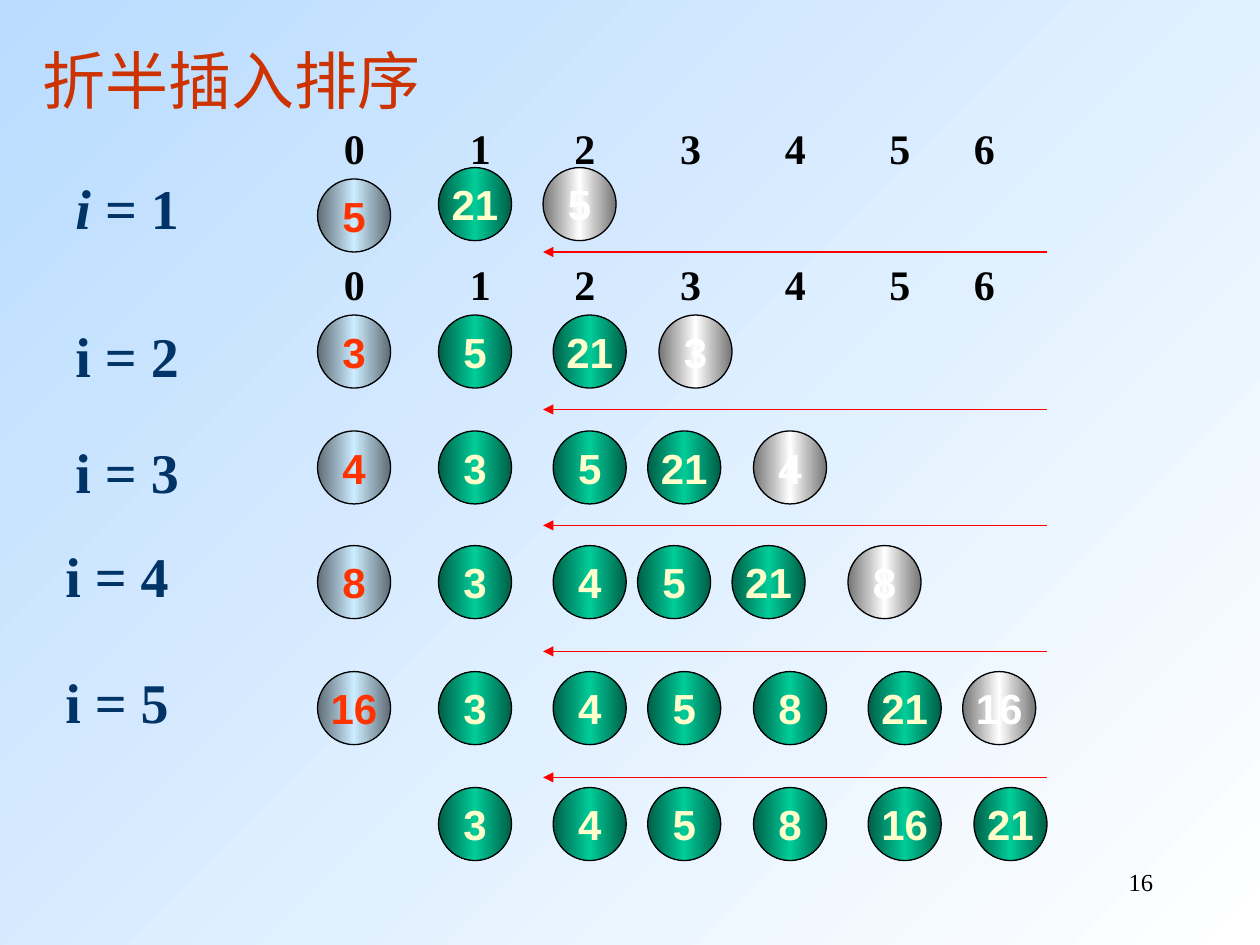
"""Build a slide that traces a binary insertion sort pass by pass."""
from copy import deepcopy
from dataclasses import dataclass
from typing import Any

from lxml.etree import SubElement
from pptx import Presentation
from pptx.dml.color import RGBColor as RGB
from pptx.enum.shapes import MSO_CONNECTOR as LINK, MSO_SHAPE as SHAPE
from pptx.enum.text import MSO_ANCHOR as ANCHOR, PP_ALIGN as ALIGN
from pptx.oxml.ns import qn
from pptx.util import Inches, Pt


@dataclass(frozen=True)
class Type:
    size: int
    ink: str
    face: str = "Times New Roman"
    bold: bool = True


@dataclass(frozen=True)
class Ball:
    edge: str
    core: str
    type: Type


@dataclass(frozen=True)
class Theme:
    back: tuple[str, str] = ("FFFFFF", "B9DCFF")
    line: str = "000000"
    arrow: str = "FF0000"
    title: Type = Type(36, "CC3300", bold=False)
    index: Type = Type(24, "000000")
    label: Type = Type(32, "003366")
    page: Type = Type(14, "000000", bold=False)
    guard: Ball = Ball("5E6C75", "CCECFF", Type(24, "FF3300", "Arial"))
    done: Ball = Ball("005E46", "00CC99", Type(24, "FFFFCC", "Arial"))
    next: Ball = Ball("757575", "FFFFFF", Type(24, "FFFFFF", "Arial"))


@dataclass(frozen=True)
class Pass:
    top: float
    items: tuple[int, ...]
    lefts: tuple[float, ...]
    label: tuple[float, float]
    arrow: float


THEME = Theme()
SIZE = 0.58
GUARD_X = 2.52
ARROW_X = (8.31, 4.31)
STOPS = (1, 1.83, 2.67, 3.5, 4.33, 5)
PASSES = (
    Pass(1.33, (21, 5), (3.48, 4.31), (0.5, 1.33), 2),
    Pass(2.5, (5, 21, 3), (3.48, 4.39, 5.23), (0.5, 2.5), 3.25),
    Pass(3.42, (3, 5, 21, 4), (3.48, 4.39, 5.14, 5.98), (0.5, 3.42), 4.17),
    Pass(4.33, (3, 4, 5, 21, 8), (3.48, 4.39, 5.06, 5.81, 6.73), (0.42, 4.25), 5.17),
    Pass(5.33, (3, 4, 5, 8, 21, 16), (3.48, 4.39, 5.14, 5.98, 6.89, 7.64), (0.42, 5.25), 6.17),
)
RESULT_Y = 6.25
RESULT = ((3, 3.48), (4, 4.39), (5, 5.14), (8, 5.98), (16, 6.89), (21, 7.73))


def shade(fill: Any, root: Any, tints: tuple[str, ...], angle: int) -> None:
    """Fill with evenly spaced colour stops."""
    fill.gradient()
    fill.gradient_angle = angle
    stops = root.find(".//" + qn("a:gsLst"))
    while len(stops) < len(tints):
        stops.append(deepcopy(stops[0]))
    for place, (stop, tint) in enumerate(zip(fill.gradient_stops, tints)):
        stop.position = place / (len(tints) - 1)
        stop.color.rgb = RGB.from_string(tint)


def style(para: Any, kind: Type, align: Any = ALIGN.LEFT) -> None:
    """Set the font and alignment of a paragraph."""
    para.alignment = align
    font = para.font
    font.name, font.size, font.bold = kind.face, Pt(kind.size), kind.bold
    font.color.rgb = RGB.from_string(kind.ink)


def write(slide: Any, box: tuple[float, ...], parts: tuple[str, ...], kind: Type,
          align: Any = ALIGN.LEFT, stops: tuple[float, ...] = (), wrap: bool = True) -> Any:
    """Add a text box and return its paragraph."""
    frame = slide.shapes.add_textbox(*map(Inches, box)).text_frame
    frame.word_wrap = wrap
    para = frame.paragraphs[0]
    if stops:
        tabs = SubElement(para._p.get_or_add_pPr(), qn("a:tabLst"))
        for stop in stops:
            SubElement(tabs, qn("a:tab"), pos=str(Inches(stop)), algn="l")
    style(para, kind, align)
    for part in parts:
        para.add_run().text = part
    return para


def draw_ball(slide: Any, left: float, top: float, value: int, look: Ball) -> None:
    """Draw one numbered ball."""
    ball = slide.shapes.add_shape(SHAPE.OVAL, *map(Inches, (left, top, SIZE, SIZE)))
    ball.shadow.inherit = False
    shade(ball.fill, ball._element, (look.edge, look.core, look.edge), 180)
    ball.line.color.rgb = RGB.from_string(THEME.line)
    ball.line.width = Pt(0.75)
    frame = ball.text_frame
    frame.word_wrap = False
    frame.vertical_anchor = ANCHOR.MIDDLE
    para = frame.paragraphs[0]
    style(para, look.type, ALIGN.CENTER)
    para.add_run().text = str(value)


def draw_arrow(slide: Any, top: float) -> None:
    """Draw the left-pointing arrow under a pass."""
    start, end = ARROW_X
    arrow = slide.shapes.add_connector(LINK.STRAIGHT, *map(Inches, (start, top, end, top)))
    arrow.line.color.rgb = RGB.from_string(THEME.arrow)
    arrow.line.width = Pt(0.75)
    SubElement(arrow.line._get_or_add_ln(), qn("a:tailEnd"), type="triangle")
    SubElement(arrow._element.spPr, qn("a:effectLst"))


def draw_pass(slide: Any, step: int, row: Pass) -> None:
    """Draw the label, balls and arrow of one pass."""
    parts = ("i ", "= 1") if step == 1 else (f"i = {step}",)
    para = write(slide, (*row.label, 1.02, 0.64), parts, THEME.label, wrap=False)
    if step == 1:
        para.runs[0].font.italic = True
    guard_y = 1.42 if step == 1 else row.top
    draw_ball(slide, GUARD_X, guard_y, row.items[-1], THEME.guard)
    for place, (value, left) in enumerate(zip(row.items, row.lefts)):
        look = THEME.done if place < step else THEME.next
        draw_ball(slide, left, row.top, value, look)
    draw_arrow(slide, row.arrow)


def main() -> None:
    """Build and save the slide."""
    deck = Presentation()
    deck.slide_width, deck.slide_height = Inches(10), Inches(7.5)
    slide = deck.slides.add_slide(deck.slide_layouts[6])
    shade(slide.background.fill, slide._element, THEME.back, 135)
    title = write(slide, (0.17, 0.17, 3.33, 0.92), ("折半插入排序",), THEME.title, ALIGN.CENTER)
    slide.shapes[0].text_frame.vertical_anchor = ANCHOR.MIDDLE
    for top in (0.92, 2):
        write(slide, (2.63, top, 5.45, 0.5), ("\t".join(map(str, range(7))),),
              THEME.index, stops=STOPS)
    for step, row in enumerate(PASSES, 1):
        draw_pass(slide, step, row)
    for value, left in RESULT:
        draw_ball(slide, left, RESULT_Y, value, THEME.done)
    write(slide, (7.17, 6.83, 2.08, 0.5), ("16",), THEME.page, ALIGN.RIGHT)
    deck.save("out.pptx")


if __name__ == "__main__":
    main()
